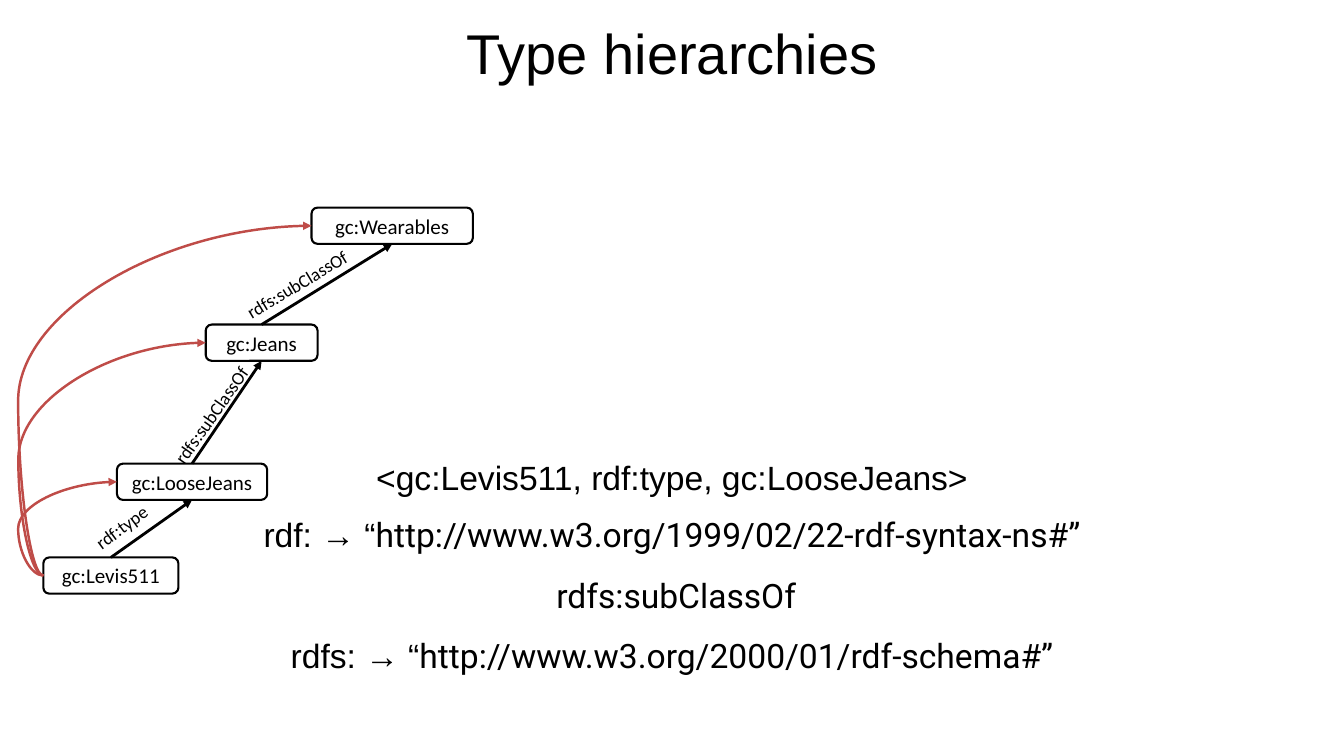
from lxml import etree
from pptx import Presentation
from pptx.dml.color import RGBColor
from pptx.enum import shapes, text
from pptx.oxml import ns
from pptx.util import Inches, Pt

BLACK, WHITE, RED = "000000", "FFFFFF", "BF4C48"
TOP, LEFT, BOTTOM = 0, 1, 2
NODE_HEIGHT = 0.36
LOOP_REACH = 0.25
CLASSES = {
    "gc:Levis511": (0.43, 3.47, 1.34),
    "gc:LooseJeans": (1.16, 2.54, 1.49),
    "gc:Jeans": (2.04, 1.16, 1.11),
    "gc:Wearables": (3.09, 0, 1.6),
}
RELATIONS = [
    ("rdf:type", 0.76, 3.01, 0.89, 323.8),
    ("rdfs:subClassOf", 1.39, 1.9, 1.41, 305),
    ("rdfs:subClassOf", 2.24, 0.6, 1.41, 329.1),
]
TRIPLE = [[("<gc:Levis511, rdf:type, gc:LooseJeans>", "Arial")]]
PREFIXES = [
    [("rdf: → “", "Arial"), ("http://www.w3.org/1999/02/22-rdf-syntax-ns#”", "Roboto")],
    [(" rdfs:subClassOf", "Roboto")],
    [("rdfs: → “", "Arial"), ("http://www.w3.org/2000/01/rdf-schema#”", "Roboto")],
]


def color(value):
    """Turn a hex string into a colour."""
    return RGBColor.from_string(value)


def write(frame, paragraphs, size, spacing=1.0, anchor=text.MSO_ANCHOR.TOP, wrap=True):
    """Fill a text frame with centred paragraphs of (wording, font) runs."""
    frame.word_wrap = wrap
    frame.vertical_anchor = anchor
    for index, runs in enumerate(paragraphs):
        paragraph = frame.add_paragraph() if index else frame.paragraphs[0]
        paragraph.alignment = text.PP_ALIGN.CENTER
        paragraph.line_spacing = spacing
        for wording, font in runs:
            run = paragraph.add_run()
            run.text = wording
            run.font.name = font
            run.font.size = Pt(size)
            run.font.color.rgb = color(BLACK)


def add_text(slide, box, paragraphs, size, rotation=0, **options):
    """Add a text box, optionally rotated."""
    shape = slide.shapes.add_textbox(*map(Inches, box))
    shape.rotation = rotation
    write(shape.text_frame, paragraphs, size, **options)


def add_node(slide, label, left, top, width):
    """Add one rounded class box."""
    shape = slide.shapes.add_shape(
        shapes.MSO_SHAPE.ROUNDED_RECTANGLE,
        *map(Inches, (left, top, width, NODE_HEIGHT)))
    shape.shadow.inherit = False
    shape.fill.solid()
    shape.fill.fore_color.rgb = color(WHITE)
    shape.line.color.rgb = color(BLACK)
    shape.line.width = Pt(1.5)
    write(shape.text_frame, [[(label, "Calibri")]], 15, anchor=text.MSO_ANCHOR.MIDDLE)
    return shape


def add_arrow(slide, kind, source, source_site, target, target_site, line_color, width):
    """Join two class boxes with an arrow."""
    arrow = slide.shapes.add_connector(kind, 0, 0, 0, 0)
    arrow.begin_connect(source, source_site)
    arrow.end_connect(target, target_site)
    arrow.line.color.rgb = color(line_color)
    arrow.line.width = Pt(width)
    etree.SubElement(arrow.line._get_or_add_ln(), ns.qn("a:tailEnd"), type="triangle")
    etree.SubElement(arrow._element.spPr, ns.qn("a:effectLst"))
    return arrow


def add_loop(slide, source, target):
    """Add a red curve that bulges left of the boxes it joins."""
    arrow = add_arrow(slide, shapes.MSO_CONNECTOR.CURVE, source, LEFT, target, LEFT, RED, 1.75)
    properties = arrow._element.spPr
    transform = properties.find(ns.qn("a:xfrm"))
    transform.attrib.pop("flipV", None)
    transform.set("rot", "10800000")
    transform.set("flipH", "1")
    bend = round(-LOOP_REACH * Inches(1) / arrow.width * 100000)
    guides = properties.find(ns.qn("a:prstGeom")).get_or_add_avLst()
    etree.SubElement(guides, ns.qn("a:gd"), name="adj1", fmla=f"val {bend}")


def add_title(slide, box):
    """Place and format the title."""
    title = slide.shapes.title
    title.left, title.top, title.width, title.height = map(Inches, box)
    write(title.text_frame, [[("Type hierarchies", "Arial")]], 40)


def add_hierarchy(slide, left, top):
    """Draw the class boxes, their relations and the inferred types."""
    nodes = [add_node(slide, label, left + x, top + y, width)
             for label, (x, y, width) in CLASSES.items()]
    for child, parent in zip(nodes, nodes[1:]):
        add_arrow(slide, shapes.MSO_CONNECTOR.STRAIGHT, child, TOP, parent, BOTTOM, BLACK, 2)
    for label, x, y, width, rotation in RELATIONS:
        add_text(slide, (left + x, top + y, width, 0.32), [[(label, "Calibri")]], 13,
                 rotation=rotation, wrap=False)
    for ancestor in nodes[1:]:
        add_loop(slide, nodes[0], ancestor)


def add_statements(slide, left, top, width):
    """Write the triple and the prefix definitions."""
    add_text(slide, (left + 0.94, top, 6.67, 0.63), TRIPLE, 24, spacing=1.5)
    add_text(slide, (left, top + 0.57, width, 1.86), PREFIXES, 24, spacing=1.5)


def main():
    """Build and save the slide."""
    presentation = Presentation()
    presentation.slide_width, presentation.slide_height = Inches(13.33), Inches(7.5)
    slide = presentation.slides.add_slide(presentation.slide_layouts[5])
    add_title(slide, (1.4, 0.13, 10.53, 0.77))
    add_hierarchy(slide, 0, 2.06)
    add_statements(slide, 2.39, 4.28, 8.55)
    presentation.save("out.pptx")


if __name__ == "__main__":
    main()
